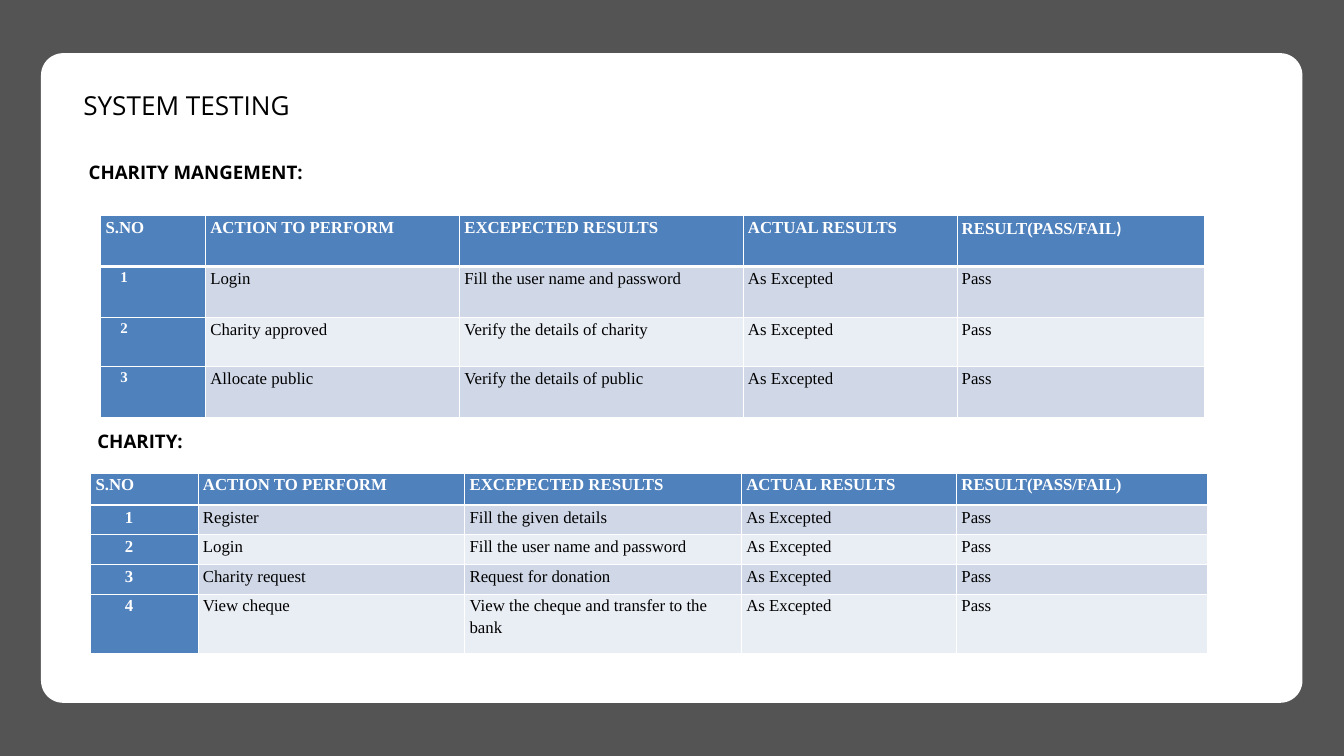
import pptx
import pptx.dml.color
import pptx.enum.shapes
import pptx.enum.text
import pptx.oxml
import pptx.oxml.ns
import pptx.util

Cm = pptx.util.Cm
Pt = pptx.util.Pt

COLOURS = {
    "backdrop": "545454",
    "panel": "FFFFFF",
    "header": "4F81BD",
    "band_dark": "D0D8E8",
    "band_light": "E9EDF4",
    "rule": "FFFFFF",
    "light_text": "FFFFFF",
    "dark_text": "000000",
}

HEADERS = ["S.NO", "ACTION TO PERFORM", "EXCEPECTED RESULTS",
           "ACTUAL RESULTS", "RESULT(PASS/FAIL)"]

MANAGEMENT_TESTS = [
    ("Login", "Fill the user name and password"),
    ("Charity approved", "Verify the details of charity"),
    ("Allocate public", "Verify the details of public"),
]

CHARITY_TESTS = [
    ("Register", "Fill the given details"),
    ("Login", "Fill the user name and password"),
    ("Charity request", "Request for donation"),
    ("View cheque", "View the cheque and transfer to the bank"),
]


def colour(name):
    return pptx.dml.color.RGBColor.from_string(COLOURS[name])


def paint(fill, name):
    fill.solid()
    fill.fore_color.rgb = colour(name)


def style_span(span, font, size, ink, bold=False):
    span.font.name = font
    span.font.size = Pt(size)
    span.font.bold = bold
    span.font.color.rgb = colour(ink)


def draw_panel(page, box):
    panel = page.shapes.add_shape(
        pptx.enum.shapes.MSO_SHAPE.ROUNDED_RECTANGLE, *map(Cm, box))
    panel.adjustments[0] = 0.034
    panel.shadow.inherit = False
    paint(panel.fill, "panel")
    panel.line.fill.background()


def draw_heading(page, box, text, size, bold=False, wrap=True):
    heading = page.shapes.add_textbox(*map(Cm, box))
    frame = heading.text_frame
    frame.word_wrap = wrap
    frame.vertical_anchor = pptx.enum.text.MSO_ANCHOR.TOP
    frame.text = text
    style_span(frame.paragraphs[0].runs[0], "Open Sans", size, "dark_text", bold)


def set_borders(cell, top, bottom):
    properties = cell._tc.get_or_add_tcPr()
    widths = {"lnL": 1, "lnR": 1, "lnT": top, "lnB": bottom}
    for position, (side, width) in enumerate(widths.items()):
        properties.insert(position, pptx.oxml.parse_xml(
            f'<a:{side} {pptx.oxml.ns.nsdecls("a")} w="{Pt(width)}">'
            f'<a:solidFill><a:srgbClr val="{COLOURS["rule"]}"/></a:solidFill>'
            f'</a:{side}>'))


def draw_cell(cell, text, row, column, number_size, number_indent):
    is_header = row == 0
    is_number = column == 0 and not is_header
    is_bold = is_header or is_number
    cell.margin_left = Cm(0.18 + (number_indent if is_number else 0))
    cell.margin_right = Cm(0.18)
    cell.margin_top = cell.margin_bottom = 0
    cell.text = text
    para = cell.text_frame.paragraphs[0]
    para.line_spacing = 1.15
    style_span(para.runs[0], "Times New Roman",
               number_size if is_number else 18,
               "light_text" if is_bold else "dark_text", is_bold)
    if is_bold:
        paint(cell.fill, "header")
    else:
        paint(cell.fill, "band_dark" if row % 2 else "band_light")
    set_borders(cell, 3 if row == 1 else 1, 3 if is_header else 1)


def draw_test_table(page, left, top, widths, heights, tests,
                    number_size, number_indent):
    rows = [HEADERS] + [
        [str(number), action, expected, "As Excepted", "Pass"]
        for number, (action, expected) in enumerate(tests, 1)]
    table = page.shapes.add_table(
        len(rows), len(HEADERS), Cm(left), Cm(top),
        Cm(sum(widths)), Cm(sum(heights))).table
    table.horz_banding = False
    for column, width in zip(table.columns, widths):
        column.width = Cm(width)
    for line, height in zip(table.rows, heights):
        line.height = Cm(height)
    for row, texts in enumerate(rows):
        for column, text in enumerate(texts):
            draw_cell(table.cell(row, column), text, row, column,
                      number_size, number_indent)
    return table


def set_closing_bracket(cell):
    para = cell.text_frame.paragraphs[0]
    para.runs[0].text = para.text[:-1]
    bracket = para.add_run()
    bracket.text = ")"
    style_span(bracket, "Calibri", 18, "light_text", True)


def draw_testing_page(page, box):
    left, top, width, height = box
    paint(page.background.fill, "backdrop")
    draw_panel(page, box)
    management = draw_test_table(
        page, left + 2.26, top + 6.14, [3.96, 9.6, 10.72, 8.08, 9.37],
        [1.93, 1.93, 1.85, 1.93], MANAGEMENT_TESTS, 16, 0.56)
    set_closing_bracket(management.cell(0, len(HEADERS) - 1))
    draw_heading(page, (left + 1.55, top + 3.94, 8.86, 1.88),
                 "CHARITY MANGEMENT:", 20, bold=True, wrap=False)
    draw_test_table(
        page, left + 1.88, top + 15.87, [4.06, 10.08, 10.46, 8.13, 9.47],
        [1.22, 1.12, 1.12, 1.12, 2.24], CHARITY_TESTS, 18, 1.11)
    draw_heading(page, (left + 1.88, top + 14.1, 6.53, 1.88),
                 "CHARITY:", 20, bold=True)
    draw_heading(page, (left + 1.35, top + 1.24, 12.9, 1.45),
                 "SYSTEM TESTING", 28)


def main():
    deck = pptx.Presentation()
    deck.slide_width = Cm(50.8)
    deck.slide_height = Cm(28.58)
    page = deck.slides.add_slide(deck.slide_layouts[6])
    draw_testing_page(page, (1.55, 2.01, 47.68, 24.56))
    deck.save("out.pptx")


if __name__ == "__main__":
    main()
